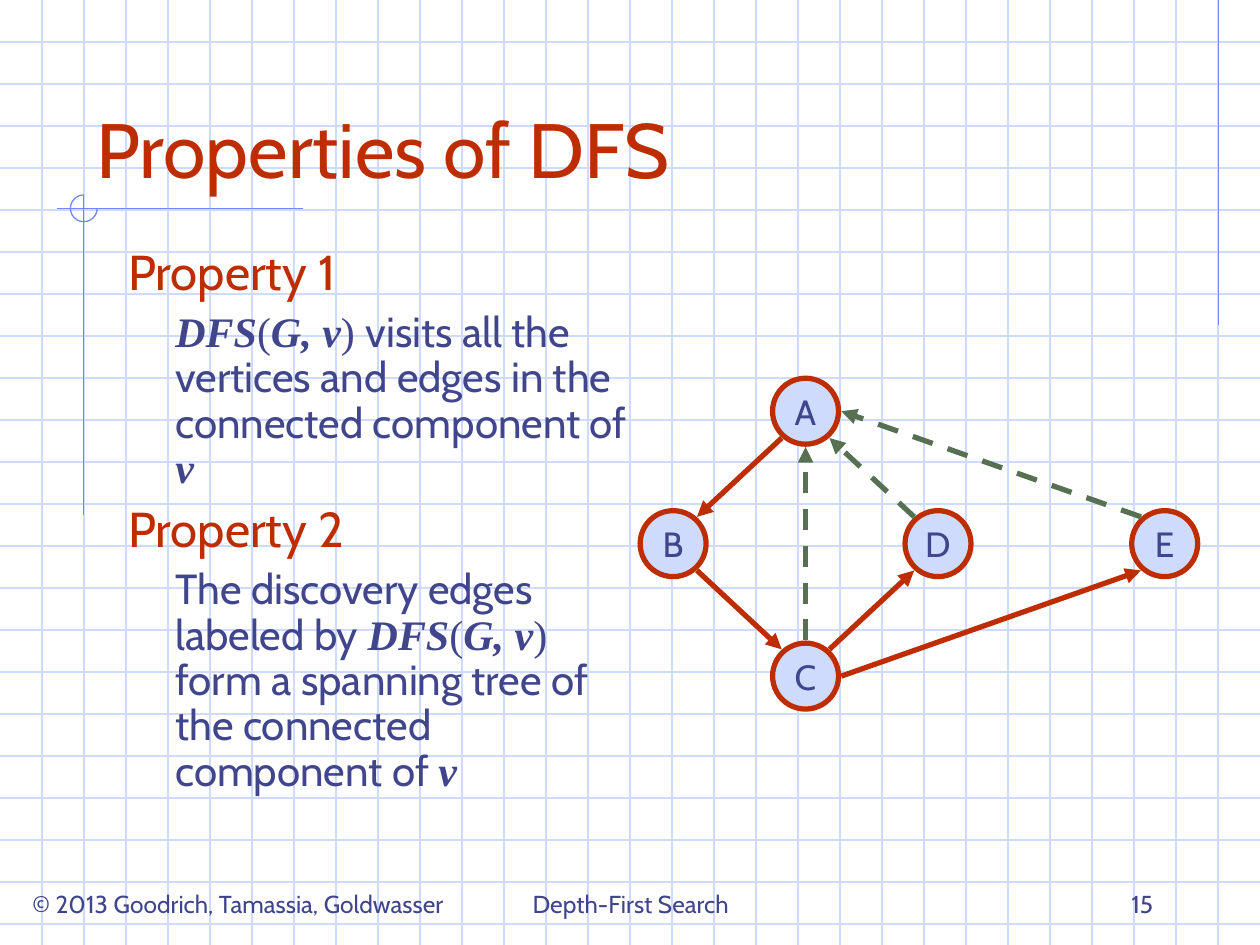
from lxml import etree
from pptx import Presentation
from pptx.dml.color import RGBColor
from pptx.enum.dml import MSO_LINE
from pptx.enum.shapes import MSO_CONNECTOR, MSO_SHAPE
from pptx.enum.text import MSO_ANCHOR, MSO_AUTO_SIZE, PP_ALIGN
from pptx.oxml.ns import qn
from pptx.util import Cm, Pt

STRAIGHT, DASH = MSO_CONNECTOR.STRAIGHT, MSO_LINE.DASH
ELLIPSE, ARC = MSO_SHAPE.OVAL, MSO_SHAPE.ARC
MIDDLE, BOTTOM = MSO_ANCHOR.MIDDLE, MSO_ANCHOR.BOTTOM
LEFT, CENTER, RIGHT = PP_ALIGN.LEFT, PP_ALIGN.CENTER, PP_ALIGN.RIGHT
NO_AUTOFIT = MSO_AUTO_SIZE.NONE

RED, NAVY, GREEN = "BE2D00", "40458C", "577052"
PALE_BLUE, BLUE = "CFDBFD", "6F89F7"
SANS, SERIF = "Cabin", "Times New Roman"
WIDTH, HEIGHT = 25.4, 19.05


def rgb(hex_color):
    return RGBColor.from_string(hex_color)


def add_line(start, end, color, width=0.75):
    """Draw a shadowless line between two (x, y) points in centimetres."""
    line = slide.shapes.add_connector(
        STRAIGHT, Cm(start[0]), Cm(start[1]), Cm(end[0]), Cm(end[1]))
    line.line.color.rgb = rgb(color)
    line.line.width = Pt(width)
    etree.SubElement(line.element.spPr, qn("a:effectLst"))
    return line


prs = Presentation()
prs.slide_width, prs.slide_height = Cm(WIDTH), Cm(HEIGHT)
slide = prs.slides.add_slide(prs.slide_layouts[1])

# Graph paper background
pitch = WIDTH / 30
for row in range(1, 23):
    add_line((0, row * pitch), (WIDTH, row * pitch), PALE_BLUE)
for column in range(1, 30):
    add_line((column * pitch, 0), (column * pitch, HEIGHT), PALE_BLUE)

# Margin lines and the small arc where they cross
for start, end in [((24.56, 0), (24.56, 6.55)),
                   ((6.1, 4.21), (1.14, 4.21)),
                   ((1.69, 3.93), (1.69, 10.39))]:
    add_line(start, end, BLUE)
corner = slide.shapes.add_shape(ARC, Cm(1.42), Cm(3.93), Cm(0.54), Cm(0.54))
corner.adjustments[0] = 0
corner.adjustments[1] = 162  # 270 degrees
corner.fill.background()
corner.line.color.rgb = rgb(BLUE)
corner.line.width = Pt(0.75)
corner.shadow.inherit = False

# Footer
for text, left, width, alignment in [
        ("© 2013 Goodrich, Tamassia, Goldwasser", 0.1, 9.4, CENTER),
        ("Depth-First Search", 8.69, 8.05, CENTER),
        ("15", 18.21, 5.29, RIGHT)]:
    footer = slide.shapes.add_textbox(Cm(left), Cm(17.36), Cm(width), Cm(1.27)).text_frame
    footer.word_wrap = True
    footer.vertical_anchor = BOTTOM
    paragraph = footer.paragraphs[0]
    paragraph.text = text
    paragraph.alignment = alignment
    paragraph.font.name, paragraph.font.size = SANS, Pt(14)
    paragraph.font.color.rgb = rgb(NAVY)

# Title, brought in front of the grid
title = slide.shapes.title
slide.shapes.element.append(title.element)
title.left, title.top, title.width, title.height = Cm(1.69), Cm(0.85), Cm(21.59), Cm(3.18)
title.text_frame.auto_size = NO_AUTOFIT
title.text_frame.vertical_anchor = BOTTOM
paragraph = title.text_frame.paragraphs[0]
paragraph.text = "Properties of DFS"
paragraph.alignment = LEFT
paragraph.font.name, paragraph.font.size = SANS, Pt(44)
paragraph.font.color.rgb = rgb(RED)

# Properties: headings and statements, whose runs are plain, math or variable
PLAIN, MATH, VARIABLE = "plain", "math", "variable"
dfs_call = [("DFS", VARIABLE), ("(", MATH), ("G, v", VARIABLE), (") ", MATH)]
properties = [
    (True, 0, [("Property 1", PLAIN)]),
    (False, 6, dfs_call + [
        ("visits all the vertices and edges in the connected component of ", PLAIN),
        ("v", VARIABLE)]),
    (True, 7, [("Property 2", PLAIN)]),
    (False, 6, [("The discovery edges labeled by ", PLAIN)] + dfs_call + [
        ("form a spanning tree of the connected component of ", PLAIN),
        ("v", VARIABLE)]),
]
body = slide.placeholders[1]
slide.shapes.element.append(body.element)
body.left, body.top, body.width, body.height = Cm(2.33), Cm(4.87), Cm(10.58), Cm(11.43)
body.text_frame.auto_size = NO_AUTOFIT
for index, (is_heading, space_before, pieces) in enumerate(properties):
    paragraph = body.text_frame.add_paragraph() if index else body.text_frame.paragraphs[0]
    layout = paragraph._p.get_or_add_pPr()
    layout.set("marL", str(Cm(0 if is_heading else 0.95)))
    layout.set("indent", "0")
    etree.SubElement(layout, qn("a:buNone"))
    paragraph.line_spacing = 0.9
    paragraph.space_before = Pt(space_before)
    paragraph.font.size = Pt(28 if is_heading else 24)
    paragraph.font.color.rgb = rgb(RED if is_heading else NAVY)
    for text, style in pieces:
        run = paragraph.add_run()
        run.text = text
        run.font.name = SANS if style == PLAIN else SERIF
        if style == VARIABLE:
            run.font.bold = run.font.italic = True

# Graph vertices, by centre
step, diameter = 2.67, 1.33
a_x, a_y = 16.24, 8.29
vertices = {
    "A": (a_x, a_y),
    "B": (a_x - step, a_y + step),
    "C": (a_x, a_y + 2 * step),
    "D": (a_x + step, a_y + step),
    "E": (23.48, a_y + step),
}
for letter, (x, y) in vertices.items():
    vertex = slide.shapes.add_shape(
        ELLIPSE, Cm(x - diameter / 2), Cm(y - diameter / 2), Cm(diameter), Cm(diameter))
    vertex.shadow.inherit = False
    vertex.fill.solid()
    vertex.fill.fore_color.rgb = rgb(PALE_BLUE)
    vertex.line.color.rgb = rgb(RED)
    vertex.line.width = Pt(3)
    vertex.text_frame.word_wrap = False
    vertex.text_frame.vertical_anchor = MIDDLE
    paragraph = vertex.text_frame.paragraphs[0]
    paragraph.text = letter
    paragraph.alignment = CENTER
    paragraph.font.name, paragraph.font.size = SANS, Pt(20)
    paragraph.font.color.rgb = rgb(NAVY)

# Edges run from one vertex's side to another's: discovery red, back edges dashed
sides = {"N": (0, -0.72), "S": (0, 0.72), "E": (0.72, 0),
         "NW": (-0.48, -0.54), "NE": (0.48, -0.54),
         "SW": (-0.48, 0.54), "SE": (0.48, 0.54)}
edges = [
    ("A", "SW", "B", "NE", RED),
    ("B", "SE", "C", "NW", RED),
    ("C", "NE", "D", "SW", RED),
    ("C", "E", "E", "SW", RED),
    ("D", "NW", "A", "SE", GREEN),
    ("C", "N", "A", "S", GREEN),
    ("E", "NW", "A", "E", GREEN),
]
for source, source_side, target, target_side, color in edges:
    start, end = [
        (vertices[letter][0] + sides[side][0], vertices[letter][1] + sides[side][1])
        for letter, side in [(source, source_side), (target, target_side)]]
    edge = add_line(start, end, color, 3)
    if color == GREEN:
        edge.line.dash_style = DASH
    etree.SubElement(edge.line._get_or_add_ln(), qn("a:tailEnd"), type="triangle")

prs.save("out.pptx")
